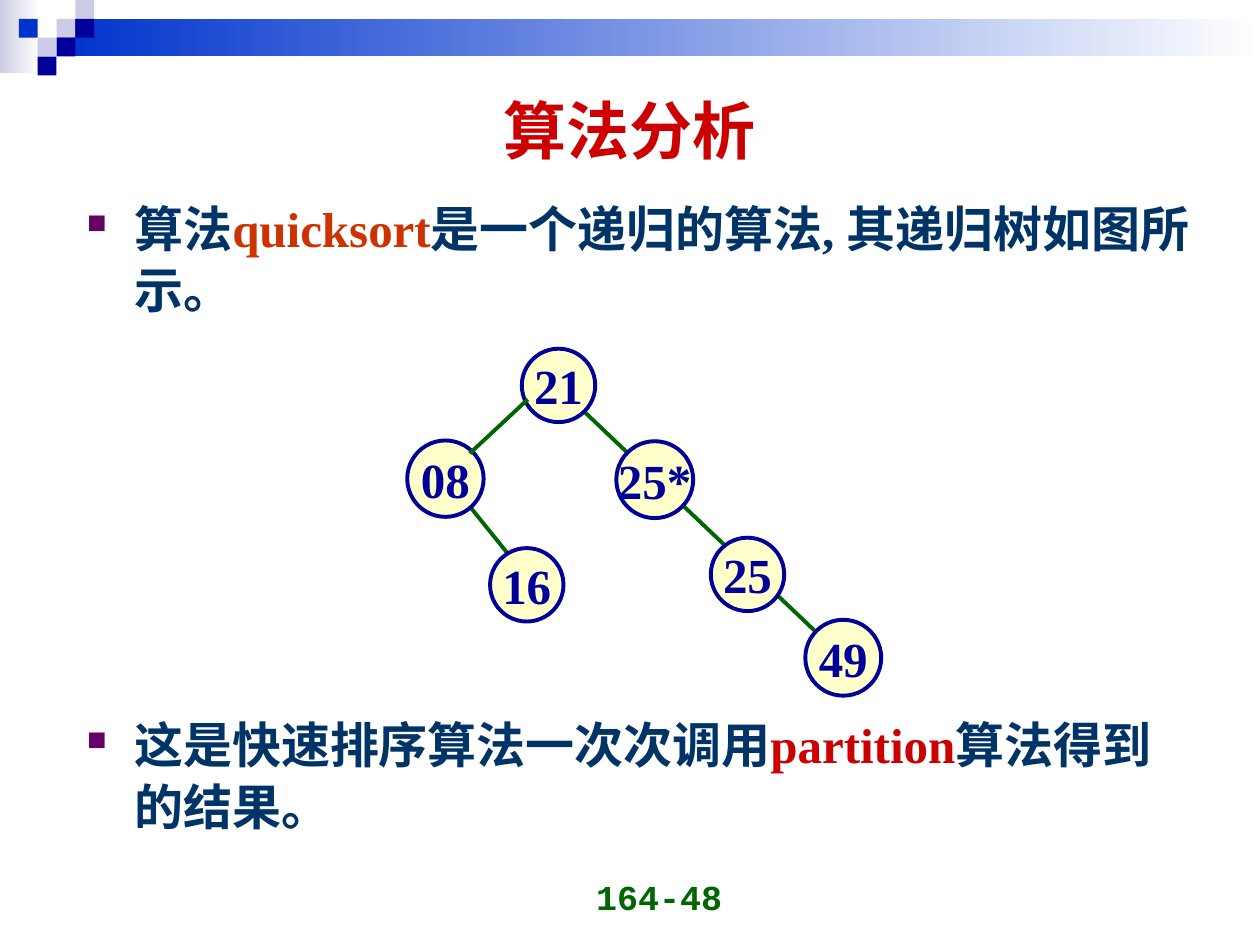
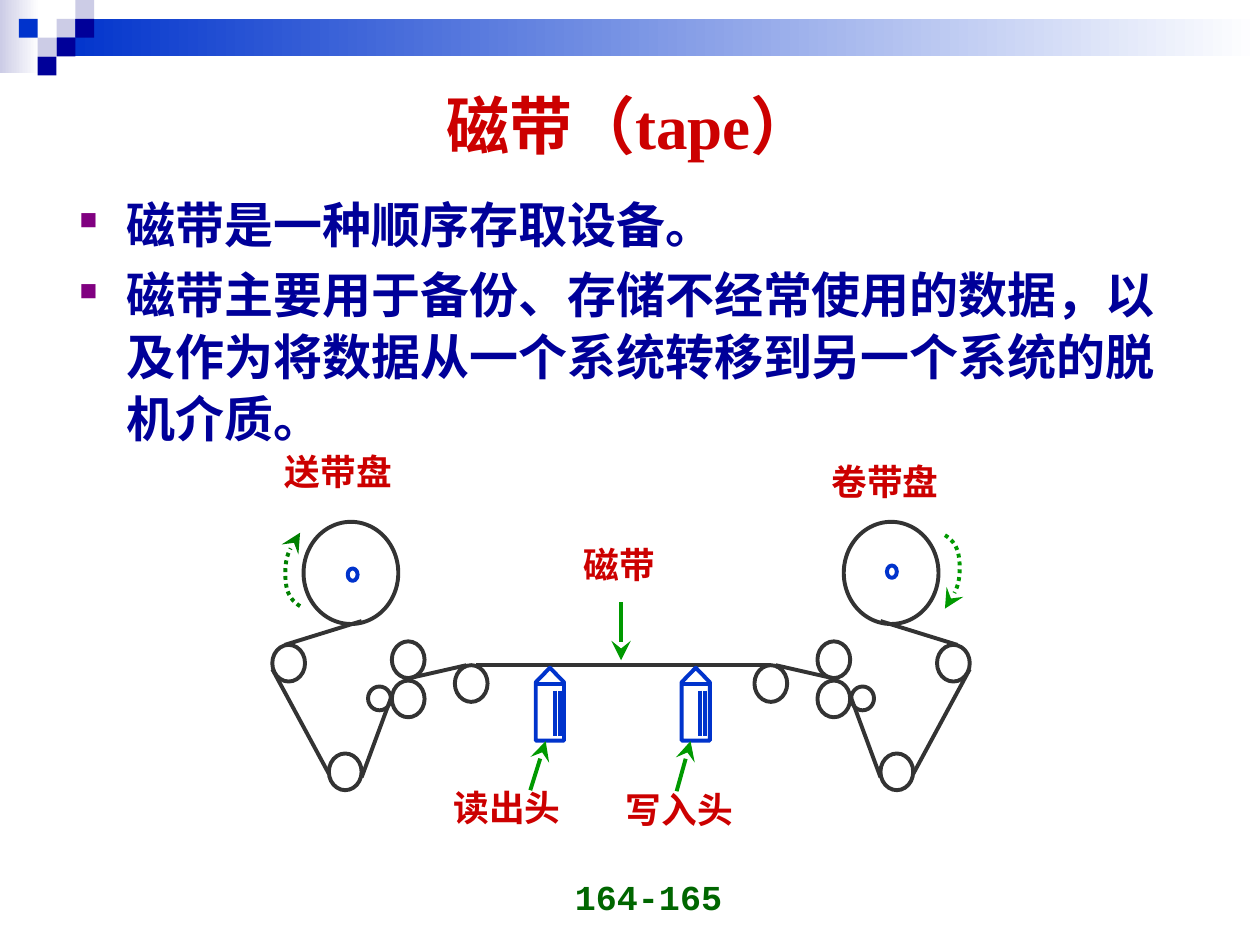
from dataclasses import dataclass

from lxml.etree import SubElement
from pptx import Presentation
from pptx.dml.color import RGBColor
from pptx.enum.dml import MSO_LINE
from pptx.enum.shapes import MSO_CONNECTOR, MSO_SHAPE
from pptx.enum.text import MSO_ANCHOR, PP_ALIGN
from pptx.oxml.ns import qn
from pptx.util import Cm, Pt


@dataclass(frozen=True)
class Theme:
    white: str = "FFFFFF"
    pale: str = "CCCCE6"
    blue: str = "0033CC"
    navy: str = "000099"
    red: str = "CC0000"
    orange: str = "CC3300"
    ink: str = "003366"
    forest: str = "006600"
    green: str = "009900"
    dark_green: str = "008000"
    cream: str = "FFFFCC"
    graphite: str = "333333"
    purple: str = "660066"
    violet: str = "800080"
    serif: str = "Times New Roman"
    sans: str = "Noto Sans CJK SC"
    mono: str = "Courier New"
    title_size: float = 36
    body_size: float = 28
    label_size: float = 20.4
    footer_size: float = 20
    line_width: float = 2.25


THEME = Theme()

PIXEL = 0.38
BANDS = [((0, 0, 0.79, 1.47), THEME.pale), ((1.14, 0.38, 24.26, 0.76), THEME.blue)]
PIXELS = [
    (3, 1, THEME.pale), (4, 0, THEME.pale), (4, 1, THEME.navy), (2, 2, THEME.pale),
    (1, 1, THEME.blue), (3, 2, THEME.navy), (2, 3, THEME.navy),
]

TREE_POINTS = [
    ((1.5, 3.81, 22.86, 3.5), [[
        ("算法", THEME.ink), ("quicksort", THEME.orange),
        ("是一个递归的算法, 其递归树如图所示。", THEME.ink)]]),
    ((1.5, 14.22, 22.86, 3), [[
        ("这是快速排序算法一次次调用", THEME.ink), ("partition", THEME.red),
        ("算法得到的结果。", THEME.ink)]]),
]
TREE_NODES = [
    ("21", 11.26, 7.77, 1.48), ("08", 8.98, 9.65, 1.54), ("25*", 13.2, 9.67, 1.55),
    ("16", 10.62, 11.79, 1.48), ("25", 15.07, 11.58, 1.48), ("49", 17.0, 13.26, 1.53),
]
EDGES_BEHIND = [(9.47, 10.21, 10.31, 11.25), (11.79, 8.31, 16.46, 12.75)]
EDGE_IN_FRONT = (10.64, 8.05, 9.47, 9.14)

TAPE_POINTS = [
    [("磁带是一种顺序存取设备。", THEME.navy)],
    [("磁带主要用于备份、存储不经常使用的数据，以及作为将数据从一个系统转移到另一个系统的脱机介质。",
      THEME.navy)],
]
MIRROR_SUM = 25.04
ROLLER = (0.66, 0.74)
WHEELS = [
    (6.12, 10.52, 1.91, 2.06), (5.49, 13.0, *ROLLER), (6.63, 15.19, *ROLLER),
    (7.9, 12.93, *ROLLER), (7.9, 13.72, *ROLLER), (9.17, 13.41, *ROLLER),
    (7.42, 13.84, 0.46, 0.48),
]
TAPE_RUNS = [
    (7.29, 12.52, 5.74, 13.0), (5.49, 13.49, 6.63, 15.6),
    (7.29, 15.67, 7.9, 14.02), (8.26, 13.67, 9.4, 13.41),
]
TAPE_SPAN = (9.6, 13.41, 15.54, 13.41)
HUBS = [(7.01, 11.46, 0.2, 0.25), (17.88, 11.4, 0.2, 0.25)]
HEAD_LEFTS = [10.8, 13.74]
HEAD_TOP, HEAD_WIDTH, HEAD_HEIGHT = 13.46, 0.57, 1.47
POINTERS = [
    (10.69, 15.93, 11.0, 14.94), (13.64, 15.95, 13.92, 14.94), (12.52, 12.14, 12.52, 13.31),
]
LABELS = [
    ("读出头", 8.89, 15.82), ("写入头", 12.37, 15.85), ("磁带", 11.51, 10.92),
    ("送带盘", 5.49, 9.04), ("卷带盘", 16.51, 9.25),
]
SPIN_START = (6.05, 12.22)
SPIN_CURVES = [
    [(5.92, 12.14), (5.84, 12.04), (5.79, 11.89)],
    [(5.74, 11.71), (5.74, 11.4), (5.79, 11.23)],
    [(5.84, 11.05), (5.99, 10.82), (6.05, 10.74)],
]
SPIN_TURN = (25.1, 23.01)


def color(value):
    return RGBColor.from_string(value)


def apply(target, **values):
    for name, value in values.items():
        setattr(target, name, value)


def lengths(numbers):
    return [Cm(number) for number in numbers]


def add_span(para, text, size, ink, font):
    span = para.add_run()
    span.text = text
    apply(span.font, size=Pt(size), bold=True, name=font)
    span.font.color.rgb = color(ink)
    east_asian = SubElement(span.font._element, qn("a:ea"))
    east_asian.set("typeface", THEME.sans)


def add_text(page, place, text, size, ink, font=THEME.serif, wrap=True,
             anchor=MSO_ANCHOR.TOP, **format_values):
    frame = page.shapes.add_textbox(*lengths(place)).text_frame
    apply(frame, word_wrap=wrap, vertical_anchor=anchor)
    para = frame.paragraphs[0]
    apply(para, **format_values)
    add_span(para, text, size, ink, font)


def add_bullet(para, ink, percent):
    properties = para._p.get_or_add_pPr()
    properties.set("marL", str(Cm(0.96)))
    properties.set("indent", str(-Cm(0.96)))
    SubElement(SubElement(properties, qn("a:buClr")), qn("a:srgbClr")).set("val", ink)
    SubElement(properties, qn("a:buSzPct")).set("val", str(percent * 1000))
    SubElement(properties, qn("a:buChar")).set("char", "■")


def add_points(page, place, points, font, bullet_ink, bullet_percent, gap=0):
    frame = page.shapes.add_textbox(*lengths(place)).text_frame
    frame.word_wrap = True
    for index, spans in enumerate(points):
        para = frame.add_paragraph() if index else frame.paragraphs[0]
        add_bullet(para, bullet_ink, bullet_percent)
        apply(para, line_spacing=1.05, space_before=Pt(gap if index else 0))
        for text, ink in spans:
            add_span(para, text, THEME.body_size, ink, font)


def add_shape(page, kind, place, fill, outline=None):
    shape = page.shapes.add_shape(kind, *lengths(place))
    shape.shadow.inherit = False
    shape.fill.solid()
    shape.fill.fore_color.rgb = color(fill)
    if outline:
        set_line(shape.line, outline)
    else:
        shape.line.fill.background()
    return shape


def set_line(line, ink, arrow=False, dash=None):
    line.color.rgb = color(ink)
    line.width = Pt(THEME.line_width)
    if dash:
        line.dash_style = dash
    if arrow:
        tail = SubElement(line._get_or_add_ln(), qn("a:tailEnd"))
        for name, value in {"type": "stealth", "w": "lg", "len": "lg"}.items():
            tail.set(name, value)


def add_line(page, ends, ink, arrow=False):
    line = page.shapes.add_connector(MSO_CONNECTOR.STRAIGHT, *lengths(ends))
    set_line(line.line, ink, arrow)
    SubElement(line._element.spPr, qn("a:effectLst"))


def add_page(deck, title, title_place, number):
    page = deck.slides.add_slide(deck.slide_layouts[6])
    for place, ink in BANDS:
        band = add_shape(page, MSO_SHAPE.RECTANGLE, place, ink)
        band.fill.gradient()
        band.fill.gradient_angle = 0
        for stop, shade in zip(band.fill.gradient_stops, (ink, THEME.white)):
            stop.color.rgb = color(shade)
    for column, row, ink in PIXELS:
        add_shape(page, MSO_SHAPE.RECTANGLE,
                  (column * PIXEL, row * PIXEL, PIXEL, PIXEL), ink)
    add_text(page, (8.89, 17.35, 5.92, 1.27), number, THEME.footer_size, THEME.forest,
             THEME.mono, anchor=MSO_ANCHOR.BOTTOM, alignment=PP_ALIGN.RIGHT)
    add_text(page, title_place, title, THEME.title_size, THEME.red,
             anchor=MSO_ANCHOR.MIDDLE, alignment=PP_ALIGN.CENTER)
    return page


def add_node(page, text, center_x, center_y, size):
    place = (center_x - size / 2, center_y - size / 2, size, size)
    node = add_shape(page, MSO_SHAPE.OVAL, place, THEME.cream, THEME.navy)
    apply(node.text_frame, word_wrap=False, vertical_anchor=MSO_ANCHOR.MIDDLE)
    para = node.text_frame.paragraphs[0]
    para.alignment = PP_ALIGN.CENTER
    add_span(para, text, THEME.body_size, THEME.navy, THEME.serif)


def build_tree_page(deck):
    page = add_page(deck, "算法分析", (1.27, 1.27, 22.86, 2.67), "164-48")
    for place, points in TREE_POINTS:
        add_points(page, place, points, THEME.serif, THEME.purple, 55)
    for ends in EDGES_BEHIND:
        add_line(page, ends, THEME.forest)
    for node in TREE_NODES:
        add_node(page, *node)
    add_line(page, EDGE_IN_FRONT, THEME.forest)


def curve_points(start, curves, steps=8):
    points = [start]
    for first, second, end in curves:
        begin = points[-1]
        for step in range(1, steps + 1):
            t = step / steps
            weights = ((1 - t) ** 3, 3 * t * (1 - t) ** 2, 3 * t * t * (1 - t), t ** 3)
            corners = (begin, first, second, end)
            points.append(tuple(
                sum(weight * corner[axis] for weight, corner in zip(weights, corners))
                for axis in (0, 1)))
    return points


def add_spin(page, points, ink):
    start, *rest = [lengths(point) for point in points]
    builder = page.shapes.build_freeform(*start)
    builder.add_line_segments(rest, close=False)
    spin = builder.convert_to_shape()
    spin.shadow.inherit = False
    spin.fill.background()
    set_line(spin.line, ink, arrow=True, dash=MSO_LINE.ROUND_DOT)


def add_head(page, left):
    head = add_shape(page, MSO_SHAPE.FLOWCHART_OFFPAGE_CONNECTOR,
                     (left, HEAD_TOP, HEAD_WIDTH, HEAD_HEIGHT), THEME.white, THEME.blue)
    head.rotation = 180
    for offset in (0.38, 0.48):
        add_line(page, (left + offset, 13.92, left + offset, 14.83), THEME.blue)
    add_line(page, (left, 13.79, left + HEAD_WIDTH, 13.79), THEME.blue)


def build_tape_page(deck):
    page = add_page(deck, "磁带（tape）", (1.27, 1.52, 22.86, 1.98), "164-165")
    add_points(page, (1.35, 3.73, 22.86, 5.61), TAPE_POINTS, THEME.sans,
               THEME.violet, 50, gap=5.2)
    for mirrored in (False, True):
        for left, top, width, height in WHEELS:
            side = MIRROR_SUM - left - width if mirrored else left
            add_shape(page, MSO_SHAPE.OVAL, (side, top, width, height),
                      THEME.white, THEME.graphite)
        for x1, y1, x2, y2 in TAPE_RUNS:
            if mirrored:
                x1, x2 = MIRROR_SUM - x1, MIRROR_SUM - x2
            add_line(page, (x1, y1, x2, y2), THEME.graphite)
    add_line(page, TAPE_SPAN, THEME.graphite)
    for left in HEAD_LEFTS:
        add_head(page, left)
    for ends in POINTERS:
        add_line(page, ends, THEME.green, arrow=True)
    for text, left, top in LABELS:
        add_text(page, (left, top, 3.6, 1.17), text, THEME.label_size, THEME.red,
                 line_spacing=0.9)
    for place in HUBS:
        add_shape(page, MSO_SHAPE.OVAL, place, THEME.white, THEME.blue)
    spin = curve_points(SPIN_START, SPIN_CURVES)
    add_spin(page, spin, THEME.dark_green)
    add_spin(page, [(SPIN_TURN[0] - x, SPIN_TURN[1] - y) for x, y in spin], THEME.green)


def main():
    deck = Presentation()
    apply(deck, slide_width=Cm(25.4), slide_height=Cm(19.05))
    build_tree_page(deck)
    build_tape_page(deck)
    deck.save("out.pptx")


if __name__ == "__main__":
    main()
